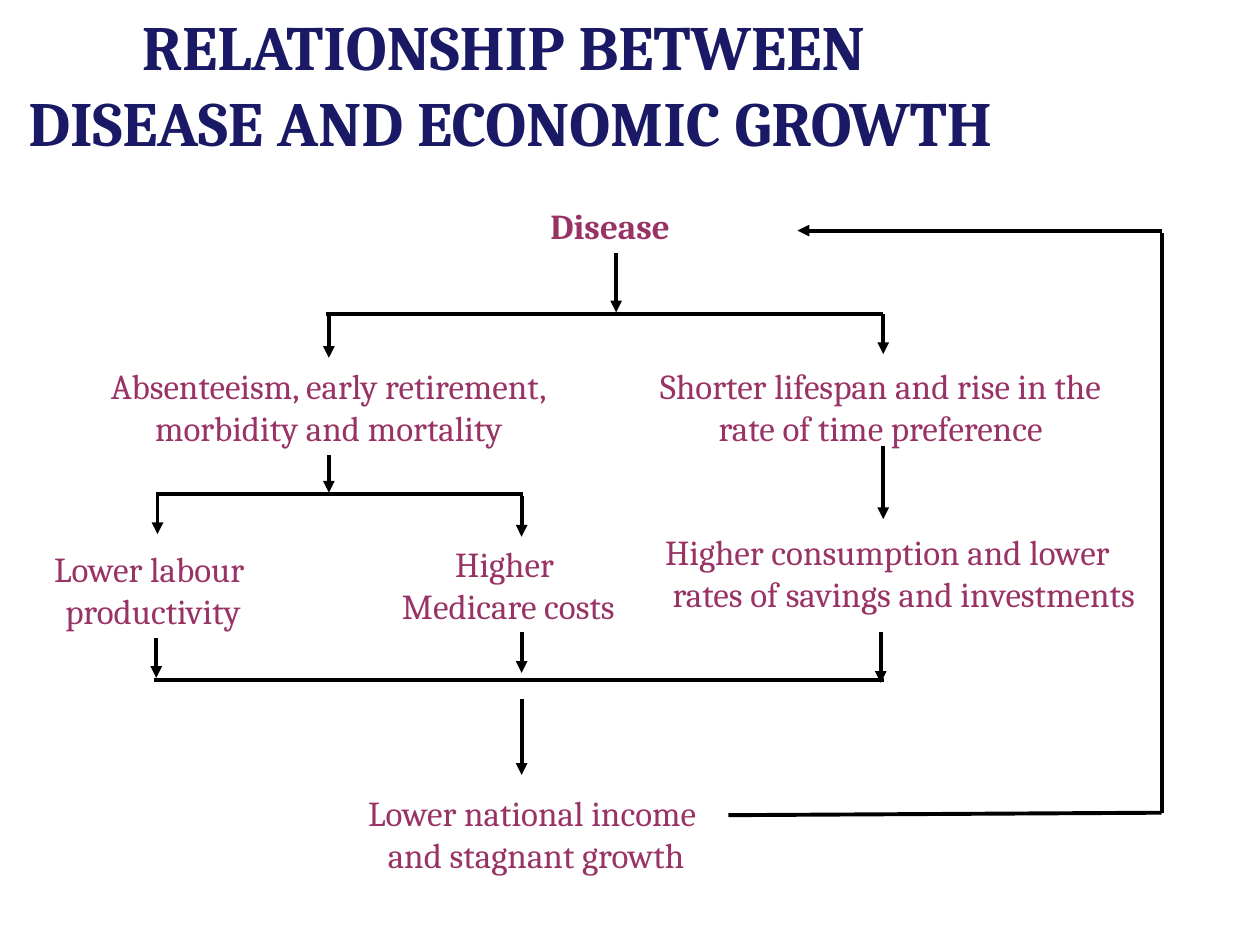
"""Build a flow chart slide linking disease and economic growth."""
from dataclasses import dataclass

from lxml import etree
from pptx import Presentation
from pptx.dml.color import RGBColor
from pptx.enum.shapes import MSO_CONNECTOR
from pptx.enum.text import MSO_ANCHOR, MSO_AUTO_SIZE, PP_ALIGN
from pptx.oxml.ns import qn
from pptx.util import Inches, Pt

STRAIGHT = MSO_CONNECTOR.STRAIGHT
TOP, NO_FIT = MSO_ANCHOR.TOP, MSO_AUTO_SIZE.NONE
LEFT, CENTER = PP_ALIGN.LEFT, PP_ALIGN.CENTER
COLORS = {"title": "191966", "label": "993366", "line": "000000"}
FONT = "Cambria"
TOP_SITE, BOTTOM_SITE = 0, 2


@dataclass
class Label:
    """Text of one step in the chart and its place in inches."""
    lines: tuple[str, ...]
    left: float
    top: float
    width: float
    height: float = 0.77
    align: PP_ALIGN = CENTER
    bold: bool = False
    hanging: float = 0


@dataclass
class Link:
    """Line between two points in inches, with optional joined labels."""
    start: tuple[float, float]
    end: tuple[float, float]
    arrow: bool = True
    source: str = ""
    target: str = ""


LABELS = {
    "disease": Label(("Disease",), 4.27, 1.57, 1.15, 0.44, LEFT, True),
    "absenteeism": Label(("Absenteeism, early retirement,", "morbidity and mortality"),
                         0.77, 2.84, 3.68),
    "lifespan": Label(("Shorter lifespan and rise in the", "rate of time preference"),
                      5.14, 2.84, 3.7),
    "productivity": Label(("Lower labour ", "productivity"), 0.28, 4.3, 1.87),
    "costs": Label(("Higher ", "Medicare costs"), 2.96, 4.26, 2.15),
    "savings": Label(("Higher consumption and lower", "rates of savings and investments"),
                     5.18, 4.16, 3.95, align=LEFT, hanging=0.06),
    "income": Label(("Lower national income ", "and stagnant growth"), 2.82, 6.23, 2.87),
}

LINKS = (
    Link((4.89, 2.01), (4.89, 2.48)),
    Link((2.59, 2.49), (7.01, 2.49), arrow=False),
    Link((2.61, 2.49), (2.61, 2.84), target="absenteeism"),
    Link((7.01, 2.49), (7.01, 2.81)),
    Link((2.61, 3.61), (2.61, 3.91), source="absenteeism"),
    Link((7.01, 3.54), (7.01, 4.12)),
    Link((1.24, 3.92), (4.15, 3.92), arrow=False),
    Link((1.25, 3.93), (1.25, 4.24)),
    Link((4.14, 3.94), (4.14, 4.26)),
    Link((1.24, 5.06), (1.24, 5.38)),
    Link((4.14, 5.02), (4.14, 5.34)),
    Link((6.99, 5.02), (6.99, 5.42)),
    Link((1.22, 5.4), (7.02, 5.4), arrow=False),
    Link((4.14, 5.55), (4.14, 6.15)),
    Link((9.22, 1.85), (9.22, 6.45), arrow=False),
    Link((5.78, 6.47), (9.22, 6.45), arrow=False),
    Link((9.22, 1.83), (6.33, 1.83)),
)


def write_lines(frame, lines: tuple[str, ...], size: float, color: str,
                align: PP_ALIGN, bold: bool) -> None:
    """Write one formatted paragraph for each line."""
    frame.auto_size = NO_FIT
    frame.vertical_anchor = TOP
    frame.text = "\n".join(lines)
    for para in frame.paragraphs:
        para.alignment = align
        para.space_before = Pt(0)
        para.font.name = FONT
        para.font.size = Pt(size)
        para.font.bold = bold
        para.font.color.rgb = RGBColor.from_string(COLORS[color])


def add_label(page, label: Label):
    """Add the text box of one step."""
    box = page.shapes.add_textbox(Inches(label.left), Inches(label.top),
                                  Inches(label.width), Inches(label.height))
    frame = box.text_frame
    frame.word_wrap = False
    write_lines(frame, label.lines, 20, "label", label.align, label.bold)
    if label.hanging:
        properties = frame.paragraphs[-1]._p.get_or_add_pPr()
        properties.set("marL", str(Inches(label.hanging)))
    return box


def add_link(page, link: Link, boxes: dict) -> None:
    """Add one line or arrow and join it to its labels."""
    points = [Inches(value) for value in link.start + link.end]
    connector = page.shapes.add_connector(STRAIGHT, *points)
    if link.source:
        connector.begin_connect(boxes[link.source], BOTTOM_SITE)
    if link.target:
        connector.end_connect(boxes[link.target], TOP_SITE)
    connector.line.color.rgb = RGBColor.from_string(COLORS["line"])
    connector.line.width = Pt(2.25)
    if link.arrow:
        tail = etree.SubElement(connector.line._get_or_add_ln(), qn("a:tailEnd"))
        tail.set("type", "triangle")
    etree.SubElement(connector._element.spPr, qn("a:effectLst"))


def main() -> None:
    """Build and save the deck."""
    deck = Presentation()
    deck.slide_width, deck.slide_height = Inches(10), Inches(7.5)
    page = deck.slides.add_slide(deck.slide_layouts[5])
    title = page.shapes.title
    title.left, title.top = Inches(-0.26), Inches(0.01)
    title.width, title.height = Inches(8.62), Inches(1.3)
    write_lines(title.text_frame, ("RELATIONSHIP BETWEEN ", "DISEASE AND ECONOMIC GROWTH"),
                36, "title", CENTER, True)
    boxes = {name: add_label(page, label) for name, label in LABELS.items()}
    for link in LINKS:
        add_link(page, link, boxes)
    deck.save("out.pptx")


if __name__ == "__main__":
    main()
